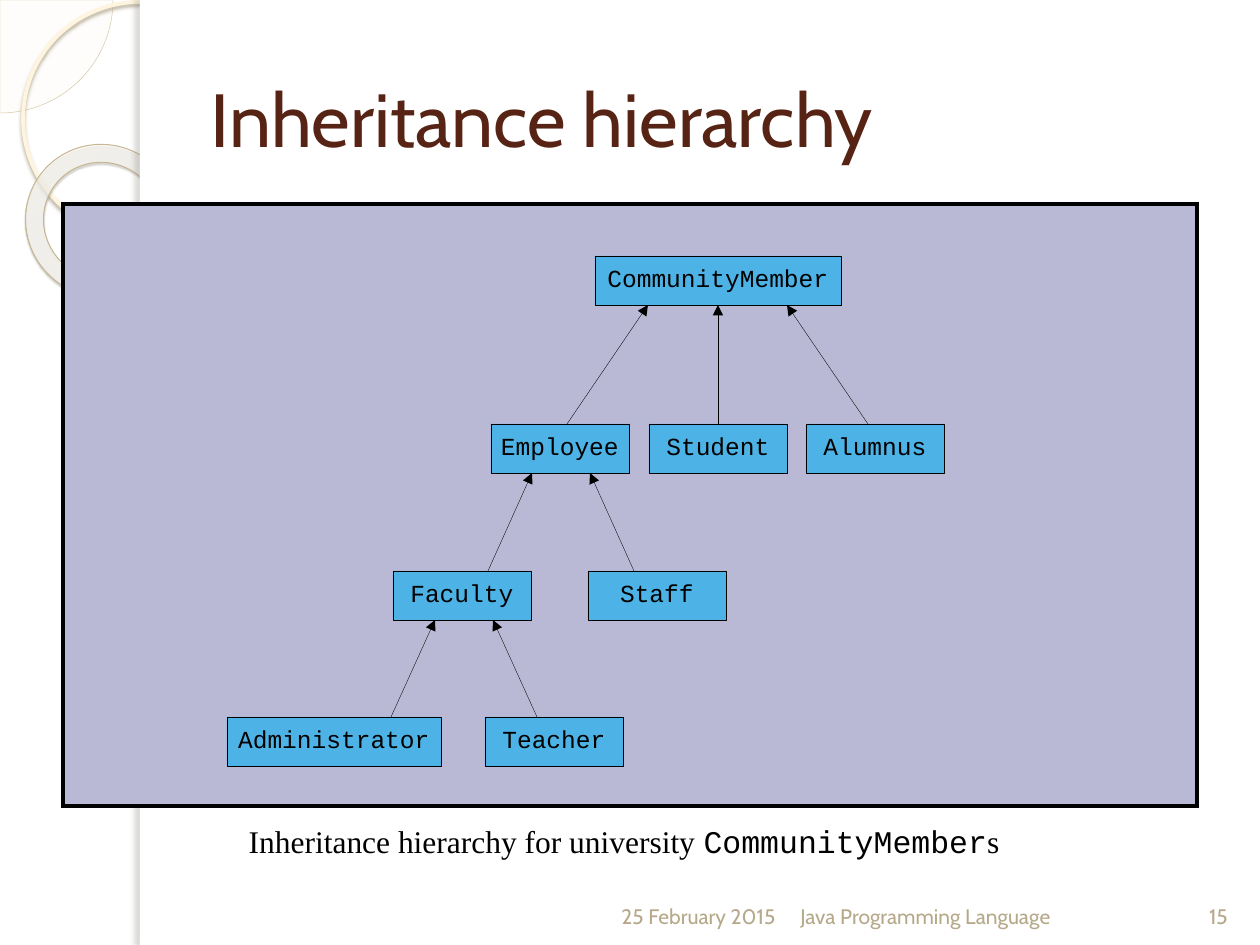
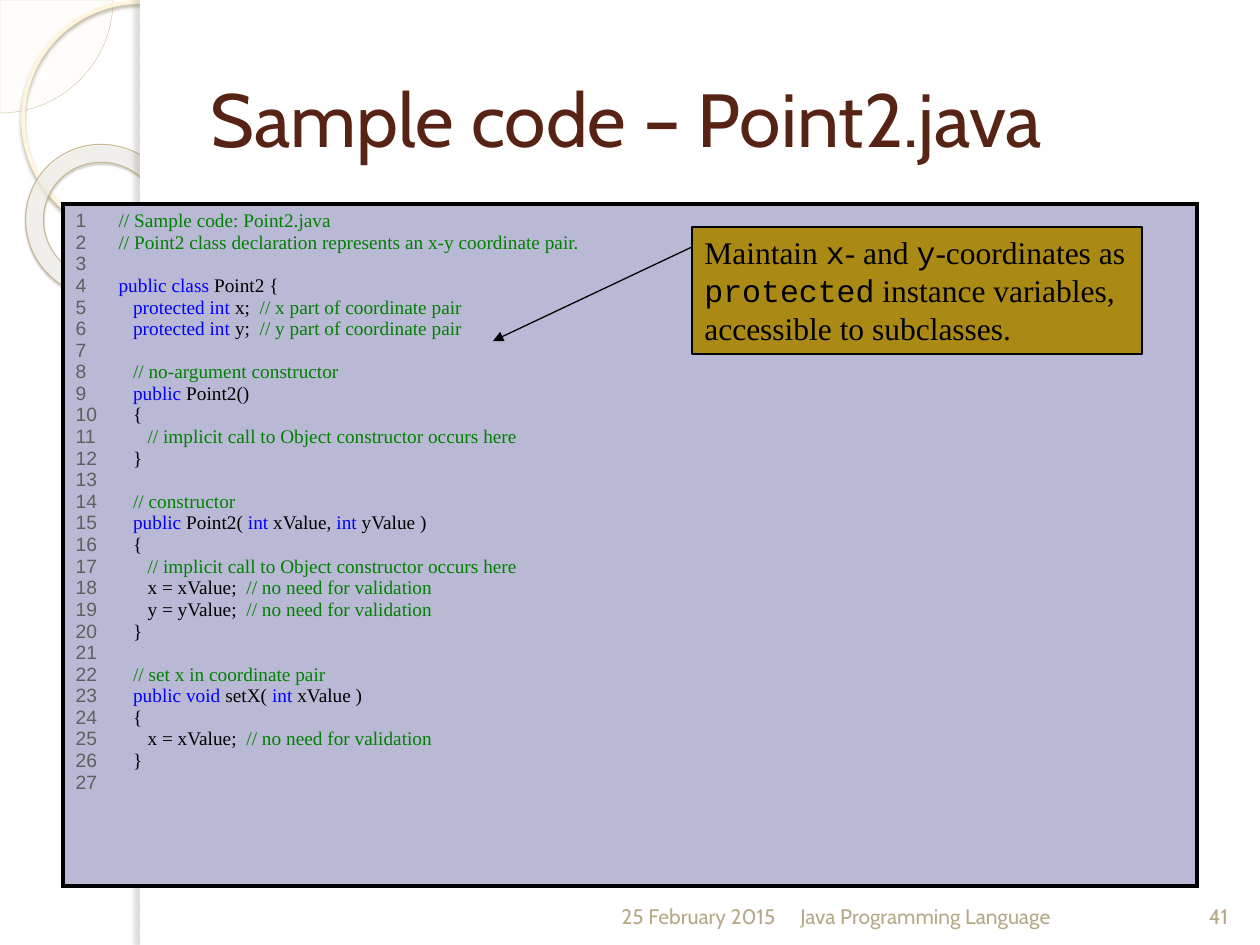
from itertools import groupby

from lxml import etree
from pptx import Presentation
from pptx import util as u
from pptx.dml.color import RGBColor
from pptx.enum import shapes, text
from pptx.oxml import parse_xml
from pptx.oxml.ns import nsdecls, qn

SCALE = u.Inches(1) / 126
WIDE, HIGH = 1260, 945
KIND, ALIGN, ANCHOR = shapes.MSO_SHAPE, text.PP_ALIGN, text.MSO_ANCHOR

SANS, SERIF, MONO, ARIAL = "Cabin", "Times New Roman", "Courier New", "Arial"
BLACK, WHITE = "000000", "FFFFFF"
BROWN, TAN = "572314", "B6A98A"
LILAC, BLUE, GOLD = "B9B9D5", "4DB3E6", "AA8A14"
GREY, GREEN, KEY = "5F5F5F", "008000", "0000FF"

DATE, COURSE = "25 February 2015", "Java Programming Language"
LEFT, TOP, SPAN = 63, 204, 1134  # panel place and width

# Class tree: name, left, top, width within the panel
BOX_H = 49
NODES = [
    ("CommunityMember", 532, 52, 246),
    ("Employee", 428, 220, 138),
    ("Student", 586, 220, 138),
    ("Alumnus", 743, 220, 138),
    ("Faculty", 330, 367, 138),
    ("Staff", 525, 367, 138),
    ("Administrator", 164, 513, 214),
    ("Teacher", 422, 513, 138),
]
# Slanted arrows: child, x at child, parent, x at parent
LINKS = [
    ("Employee", 504, "CommunityMember", 585),
    ("Alumnus", 805, "CommunityMember", 724),
    ("Faculty", 425, "Employee", 469),
    ("Staff", 571, "Employee", 527),
    ("Administrator", 328, "Faculty", 372),
    ("Teacher", 474, "Faculty", 430),
]

WORDS = {"public", "protected", "class", "int", "void"}
CODE = """\
// Sample code: Point2.java
// Point2 class declaration represents an x-y coordinate pair.

public class Point2 {
   protected int x;  // x part of coordinate pair
   protected int y;  // y part of coordinate pair

   // no-argument constructor
   public Point2()
   {
      // implicit call to Object constructor occurs here
   }

   // constructor
   public Point2( int xValue, int yValue )
   {
      // implicit call to Object constructor occurs here
      x = xValue;  // no need for validation
      y = yValue;  // no need for validation
   }

   // set x in coordinate pair
   public void setX( int xValue )
   {
      x = xValue;  // no need for validation
   }
"""


def px(*nums):
    return [u.Emu(round(n * SCALE)) for n in nums]


def rgb(code):
    return RGBColor.from_string(code)


# Text: each line is a string or a list of (words, font changes)
def write(frame, *lines, font=SERIF, size=18, color=BLACK, align=ALIGN.LEFT,
          anchor=ANCHOR.TOP, pad=None, space=None, wrap=True):
    frame.word_wrap = wrap
    frame.vertical_anchor = anchor
    if pad is not None:
        frame.margin_left = frame.margin_right = pad
        frame.margin_top = frame.margin_bottom = pad
    for i, line in enumerate(lines):
        para = frame.add_paragraph() if i else frame.paragraphs[0]
        para.alignment = align
        para.line_spacing = space
        for words, diff in [(line, {})] if isinstance(line, str) else line:
            run = para.add_run()
            run.text = words
            run.font.name = diff.get("font", font)
            run.font.size = u.Pt(size)
            run.font.color.rgb = rgb(diff.get("color", color))


def label(slide, box, *lines, **fmt):
    frame = slide.shapes.add_textbox(*px(*box)).text_frame
    write(frame, *lines, **fmt)


def draw(slide, kind, box, fill=None, line=None, width=0.2):
    shape = slide.shapes.add_shape(kind, *px(*box))
    shape.shadow.inherit = False
    if fill:
        shape.fill.solid()
        shape.fill.fore_color.rgb = rgb(fill)
    else:
        shape.fill.background()
    if line:
        shape.line.color.rgb = rgb(line)
        shape.line.width = u.Pt(width)
    else:
        shape.line.fill.background()
    return shape


def shade(shape, color, alpha, blur, dist, angle):
    effect = shape.element.spPr.find(qn("a:effectLst"))
    effect.append(parse_xml(
        f'<a:outerShdw {nsdecls("a")} blurRad="{u.Pt(blur)}" dist="{u.Pt(dist)}"'
        f' dir="{angle * 60000}" algn="tl" rotWithShape="0"><a:srgbClr val="{color}">'
        f'<a:alpha val="{alpha * 1000}"/></a:srgbClr></a:outerShdw>'))


def arrow(slide, start, end, width=0.2):
    line = slide.shapes.add_connector(
        shapes.MSO_CONNECTOR.STRAIGHT, *px(*start, *end))
    line.line.color.rgb = rgb(BLACK)
    line.line.width = u.Pt(width)
    etree.SubElement(line.line._get_or_add_ln(), qn("a:tailEnd"), type="triangle")
    etree.SubElement(line.element.spPr, qn("a:effectLst"))
    return line


# Shared side band, moved into the layout
def band(slide, layout):
    pie = draw(slide, KIND.PIE, (-113, -113, 226, 226), "FEFAF4", "D3C39F", 0.25)
    pie.adjustments[0], pie.adjustments[1] = 0, 54
    tint = pie.element.spPr.find(qn("a:solidFill"))[0]
    etree.SubElement(tint, qn("a:alpha"), val="33000")

    hoop = draw(slide, KIND.OVAL, (23, 2, 234, 234), None, "FFF5DE", 2.15)
    shade(hoop, "B0A68F", 85, 2, 2, 90)

    ring = draw(slide, KIND.DONUT, (25, 145, 155, 152), None, "C7B893", 0.58)
    ring.rotation = 38.6
    ring.adjustments[0] = 0.118
    shade(ring, "5A5444", 35, 1, 1.2, 75)
    stops = "".join(
        f'<a:gs pos="{pos}000"><a:srgbClr val="{color}">'
        f'<a:alpha val="{alpha}000"/></a:srgbClr></a:gs>'
        for pos, color, alpha in
        [(0, "FFFCF6", 70), (70, "FFFEFB", 55), (100, "F0D28E", 60)])
    props = ring.element.spPr
    props.replace(props.find(qn("a:noFill")), parse_xml(
        f'<a:gradFill {nsdecls("a")}><a:gsLst>{stops}</a:gsLst><a:path path="circle">'
        '<a:fillToRect l="-408000" t="-50000" r="508000" b="150000"/>'
        '</a:path></a:gradFill>'))

    page = draw(slide, KIND.RECTANGLE, (140, 0, WIDE - 140, HIGH), WHITE)
    edge = draw(slide, KIND.RECTANGLE, (140, 0, 10, HIGH), WHITE)
    shade(edge, "736F63", 25, 3, 3, 180)

    for i, part in enumerate([pie, hoop, ring, page, edge]):
        part.element.nvSpPr.cNvPr.set("id", str(20 + i))
        layout.shapes.element.insert(2 + i, part.element)


# Title and footer
def start(deck, title, page):
    slide = deck.slides.add_slide(deck.slide_layouts[5])
    head = slide.shapes.title
    head.left, head.top, head.width, head.height = px(198, 38, 1033, 158)
    head.text_frame.auto_size = text.MSO_AUTO_SIZE.NONE
    write(head.text_frame, title, font=SANS, size=43, color=BROWN,
          anchor=ANCHOR.MIDDLE)
    for left, width, words, align in [(494, 294, DATE, ALIGN.RIGHT),
                                      (788, 399, COURSE, ALIGN.LEFT),
                                      (1187, 63, str(page), ALIGN.CENTER)]:
        label(slide, (left, 869, width, 66), words, font=SANS, size=12,
              color=TAN, align=align, anchor=ANCHOR.BOTTOM)
    return slide


# One-cell table with a heavy frame
def panel(slide, box):
    table = slide.shapes.add_table(1, 1, *px(*box)).table
    table.first_row = table.horz_banding = False
    cell = table.cell(0, 0)
    props = cell._tc.get_or_add_tcPr()
    for side in "LRTB":
        props.append(parse_xml(
            f'<a:ln{side} {nsdecls("a")} w="{u.Pt(2.25)}"><a:solidFill>'
            f'<a:srgbClr val="{BLACK}"/></a:solidFill></a:ln{side}>'))
    cell.fill.solid()
    cell.fill.fore_color.rgb = rgb(LILAC)
    return cell


def tree(slide, x, y):
    boxes, tops = {}, {}
    for name, left, top, width in NODES:
        box = draw(slide, KIND.RECTANGLE, (x + left, y + top, width, BOX_H),
                   BLUE, BLACK)
        write(box.text_frame, name, font=MONO, size=14, align=ALIGN.CENTER,
              anchor=ANCHOR.MIDDLE, pad=0, space=0.8, wrap=False)
        boxes[name], tops[name] = box, y + top
    for child, near, parent, far in LINKS:
        arrow(slide, (x + near, tops[child]), (x + far, tops[parent] + BOX_H))
    stem = arrow(slide, (x, y), (x, y))
    stem.begin_connect(boxes["Student"], 0)
    stem.end_connect(boxes["CommunityMember"], 2)


# Split one code line into coloured runs
def tokens(line):
    code, mark, note = line.partition("//")
    words = code.split(" ")
    parts = [word + " " for word in words[:-1]] + words[-1:]
    runs = [("".join(group), {"color": KEY if hit else BLACK})
            for hit, group in groupby(parts, lambda w: w.strip() in WORDS)]
    runs.append((mark + note, {"color": GREEN}))
    return [run for run in runs if run[0]]


def listing(cell):
    lines, steps = [], []
    for num, line in enumerate(CODE.split("\n"), 1):
        body = line.lstrip()
        steps.append((len(line) - len(body)) // 3)
        gap = "\t" if body else ""
        lines.append([(f"{num}{gap}", {"font": ARIAL, "color": GREY})] + tokens(body))
    write(cell.text_frame, *lines, size=11)
    for para, step in zip(cell.text_frame.paragraphs, steps):
        stop = px(43 + 14.5 * step)[0]
        para._p.get_or_add_pPr().append(parse_xml(
            f'<a:tabLst {nsdecls("a")}><a:tab pos="{stop}" algn="l"/></a:tabLst>'))


def remark(slide, x, y):
    mono = {"font": MONO}
    box = draw(slide, KIND.RECTANGLE, (x + 629, y + 23, 450, 127), GOLD, BLACK, 0.75)
    write(box.text_frame, [
        ("Maintain ", {}), ("x", mono), ("- and ", {}), ("y", mono),
        ("-coordinates as ", {}), ("protected", mono),
        (" instance variables, accessible to subclasses.", {})])
    arrow(slide, (x + 629, y + 43), (x + 430, y + 137), 0.75)


def main():
    deck = Presentation()
    deck.slide_width, deck.slide_height = px(WIDE, HIGH)

    # Class tree slide
    slide = start(deck, "Inheritance hierarchy", 15)
    band(slide, slide.slide_layout)
    panel(slide, (LEFT, TOP, SPAN, 602))
    tree(slide, LEFT, TOP)
    label(slide, (137, 816, 974, 50), [
        ("Inheritance hierarchy for university ", {}),
        ("CommunityMember", {"font": MONO}), ("s", {})], align=ALIGN.CENTER)

    # Code slide
    slide = start(deck, "Sample code – Point2.java", 41)
    listing(panel(slide, (LEFT, TOP, SPAN, 682)))
    remark(slide, LEFT, TOP)

    deck.save("out.pptx")


if __name__ == "__main__":
    main()
